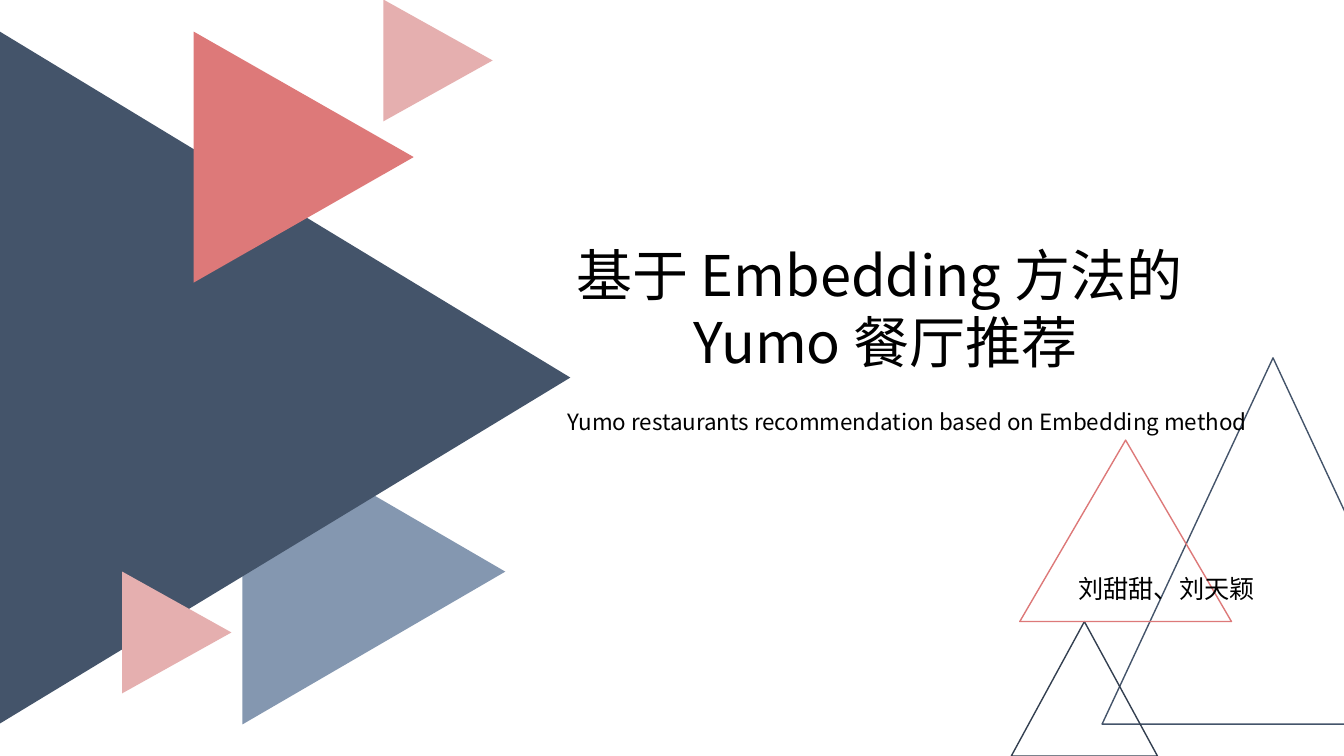
from dataclasses import dataclass
from typing import Optional

from lxml import etree
from pptx import Presentation
from pptx import util as u
from pptx.dml.color import RGBColor
from pptx.enum import shapes, text
from pptx.oxml import ns

NAVY = RGBColor(0x44, 0x54, 0x6A)
DARK = RGBColor(0x33, 0x3F, 0x50)
STEEL = RGBColor(0x84, 0x97, 0xB0)
CORAL = RGBColor(0xDD, 0x79, 0x79)
PINK = RGBColor(0xE5, 0xAF, 0xAF)
BLACK = RGBColor(0, 0, 0)
FONT = "Noto Sans CJK SC"
WIDE, HIGH = u.Inches(13.33), u.Inches(7.5)
COLS, ROWS = 160, 90


@dataclass
class Box:
    """A place on the grid, in columns and rows."""
    col: float
    row: float
    cols: float
    rows: float

    def place(self) -> tuple[int, int, int, int]:
        return (int(self.col * WIDE / COLS), int(self.row * HIGH / ROWS),
                int(self.cols * WIDE / COLS), int(self.rows * HIGH / ROWS))


@dataclass
class Peak:
    """A triangle: filled ones point right, outlined ones point up."""
    box: Box
    color: RGBColor
    solid: bool = True


@dataclass
class Label:
    box: Box
    lines: list[str]
    size: int
    align: text.PP_ALIGN = text.PP_ALIGN.LEFT
    space: Optional[float] = 1.14


PEAKS = [
    Peak(Box(26.3, 52.4, 36.4, 31.3), STEEL),
    Peak(Box(-7.26, 11, 82.4, 67.9), NAVY),
    Peak(Box(21.2, 5.6, 29.9, 26.2), CORAL),
    Peak(Box(44.9, 0.7, 14.5, 13), PINK),
    Peak(Box(13.8, 68.8, 14.5, 13), PINK),
    Peak(Box(131.2, 42.6, 40.7, 43.6), NAVY, False),
    Peak(Box(120.4, 74, 17.4, 16), DARK, False),
    Peak(Box(121.4, 52.4, 25.2, 21.6), CORAL, False),
]

LABELS = [
    Label(Box(59.3, 28, 92.2, 17.4),
          ["基于 Embedding 方法的 ", "Yumo 餐厅推荐"],
          40, text.PP_ALIGN.CENTER, None),
    Label(Box(66.4, 47.6, 86.6, 4.9),
          ["Yumo restaurants recommendation based on Embedding method"], 16),
    Label(Box(127.2, 67.1, 34.3, 5.4), ["刘甜甜、刘天颖"], 18),
]


def draw_peak(slide, peak: Peak) -> None:
    shape = slide.shapes.add_shape(
        shapes.MSO_SHAPE.ISOSCELES_TRIANGLE, *peak.box.place())
    shape.shadow.inherit = False
    if peak.solid:
        shape.rotation = 90
        shape.fill.solid()
        shape.fill.fore_color.rgb = peak.color
        shape.line.fill.background()
    else:
        shape.fill.background()
        shape.line.color.rgb = peak.color
        shape.line.width = u.Pt(1)


def add_run(para, words: str, size: int) -> None:
    run = para.add_run()
    run.text = words
    run.font.size = u.Pt(size)
    run.font.name = FONT
    run.font.color.rgb = BLACK
    east = etree.SubElement(run.font._element, ns.qn("a:ea"))
    east.set("typeface", FONT)


def draw_label(slide, label: Label) -> None:
    frame = slide.shapes.add_textbox(*label.box.place()).text_frame
    frame.word_wrap = True
    frame.auto_size = text.MSO_AUTO_SIZE.SHAPE_TO_FIT_TEXT
    for i, words in enumerate(label.lines):
        para = frame.add_paragraph() if i else frame.paragraphs[0]
        para.alignment = label.align
        para.line_spacing = label.space
        add_run(para, words, label.size)


def main() -> None:
    deck = Presentation()
    deck.slide_width, deck.slide_height = WIDE, HIGH
    slide = deck.slides.add_slide(deck.slide_layouts[6])
    for peak in PEAKS:
        draw_peak(slide, peak)
    for label in LABELS:
        draw_label(slide, label)
    deck.save("out.pptx")


if __name__ == "__main__":
    main()
